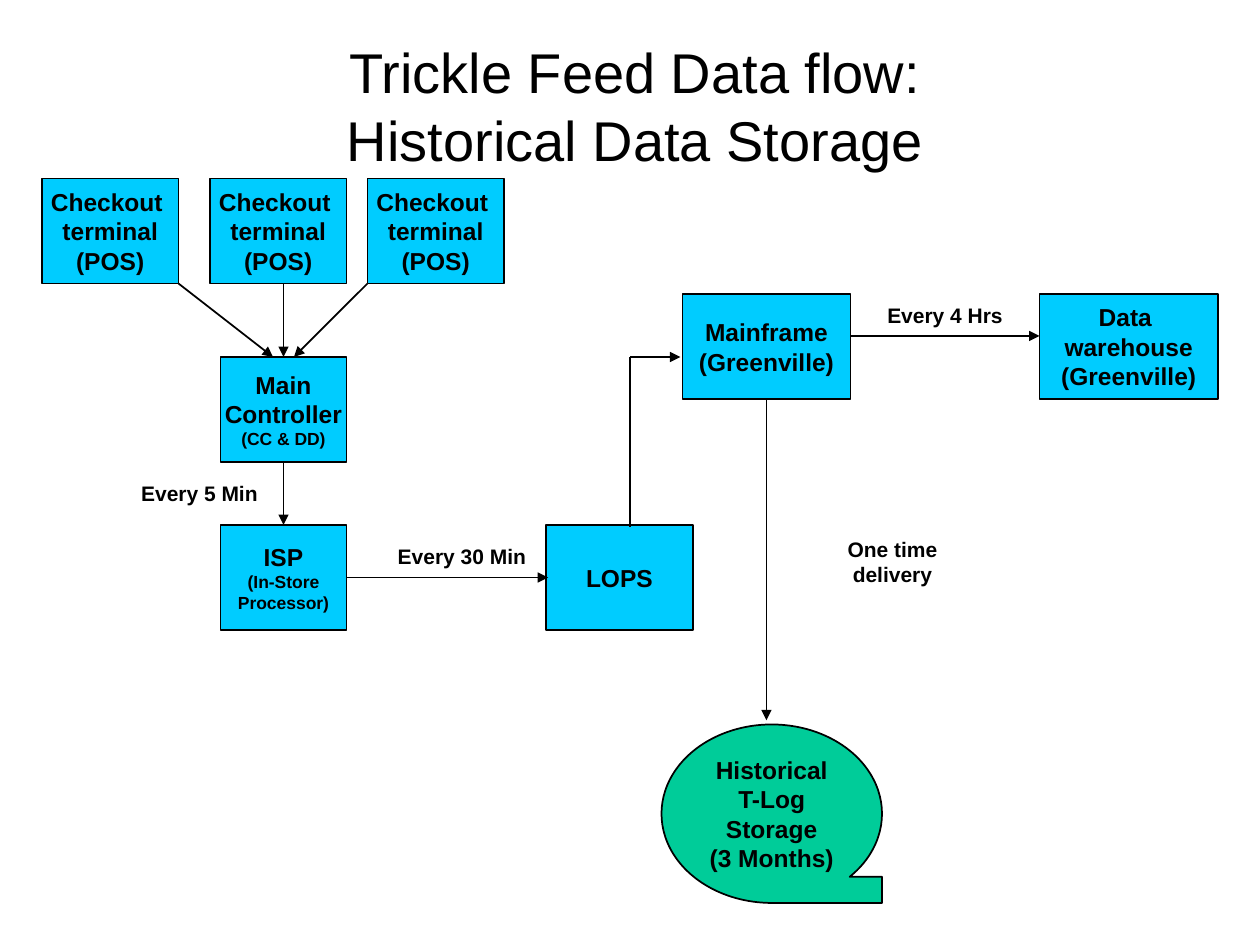
"""Build the trickle feed data flow slide on a grid of 120 columns by 90 rows."""
import pptx
import pptx.util
import pptx.dml.color
import pptx.enum.shapes
import pptx.enum.text
import pptx.oxml
import pptx.oxml.ns

COLORS = {"ink": "000000", "system": "00CCFF", "storage": "00CC99"}
SHAPES = pptx.enum.shapes.MSO_SHAPE

deck = pptx.Presentation()
deck.slide_width = pptx.util.Inches(10)
deck.slide_height = pptx.util.Inches(7.5)
slide = deck.slides.add_slide(deck.slide_layouts[6])
cell = deck.slide_width / 120


def grid(*positions):
    return [round(position * cell) for position in positions]


def write(box, text, sizes, bold=True, wrap=False):
    frame = box.text_frame
    frame.text = text
    frame.word_wrap = wrap
    frame.vertical_anchor = pptx.enum.text.MSO_ANCHOR.MIDDLE
    for index, para in enumerate(frame.paragraphs):
        para.alignment = pptx.enum.text.PP_ALIGN.CENTER
        para.font.name = "Arial"
        para.font.size = pptx.util.Pt(sizes[min(index, len(sizes) - 1)])
        para.font.bold = bold
        para.font.color.rgb = pptx.dml.color.RGBColor.from_string(COLORS["ink"])


title = slide.shapes.add_textbox(*grid(9, 3, 103, 14))
write(title, "Trickle Feed Data flow:\vHistorical Data Storage", [32], bold=False, wrap=True)

terminals = [
    (left, 17, 13, 10, SHAPES.RECTANGLE, "system", "Checkout \vterminal\v(POS)", [14])
    for left in (4, 20, 35)
]
systems = [
    (21, 34, 12, 10, SHAPES.RECTANGLE, "system", "Main\vController\n(CC & DD)", [14, 10]),
    (21, 50, 12, 10, SHAPES.RECTANGLE, "system", "ISP\n(In-Store\vProcessor)", [14, 10]),
    (52, 50, 14, 10, SHAPES.RECTANGLE, "system", "LOPS", [14]),
    (65, 28, 16, 10, SHAPES.RECTANGLE, "system", "Mainframe\v(Greenville)", [14]),
    (99, 28, 17, 10, SHAPES.RECTANGLE, "system", "Data \vwarehouse\v(Greenville)", [14]),
    (63, 69, 21, 17, SHAPES.FLOWCHART_SEQUENTIAL_ACCESS_STORAGE, "storage",
     "Historical\nT-Log\nStorage\n(3 Months)", [14]),
]
for left, top, width, height, kind, color, text, sizes in terminals + systems:
    node = slide.shapes.add_shape(kind, *grid(left, top, width, height))
    node.shadow.inherit = False
    node.fill.solid()
    node.fill.fore_color.rgb = pptx.dml.color.RGBColor.from_string(COLORS[color])
    node.line.color.rgb = pptx.dml.color.RGBColor.from_string(COLORS["ink"])
    node.line.width = pptx.util.Pt(1)
    write(node, text, sizes)

flows = [
    (17, 27, 26, 34, True),
    (27, 27, 27, 34, True),
    (35, 27, 28, 34, True),
    (27, 44, 27, 50, True),
    (33, 55, 52.2, 55, True),
    (60, 34, 60, 50.2, False),
    (60, 34, 64.8, 34, True),
    (81, 32, 99, 32, True),
    (73, 38, 73, 68.6, True),
]
for *ends, has_arrow in flows:
    flow = slide.shapes.add_connector(pptx.enum.shapes.MSO_CONNECTOR.STRAIGHT, *grid(*ends))
    flow.line.color.rgb = pptx.dml.color.RGBColor.from_string(COLORS["ink"])
    flow.line.width = pptx.util.Pt(1)
    properties = flow.line._get_or_add_ln()
    if has_arrow:
        arrow = pptx.oxml.parse_xml(f'<a:tailEnd {pptx.oxml.ns.nsdecls("a")} type="triangle"/>')
        properties.append(arrow)
    effects = pptx.oxml.parse_xml(f'<a:effectLst {pptx.oxml.ns.nsdecls("a")}/>')
    properties.addnext(effects)

intervals = [
    (11, 45, 16, 4, "Every 5 Min"),
    (35, 51, 18, 4, "Every 30 Min"),
    (82, 28, 16, 4, "Every 4 Hrs"),
    (76, 52, 18, 3, "One time delivery"),
]
for left, top, width, height, text in intervals:
    label = slide.shapes.add_textbox(*grid(left, top, width, height))
    write(label, text, [12])

deck.save("out.pptx")
